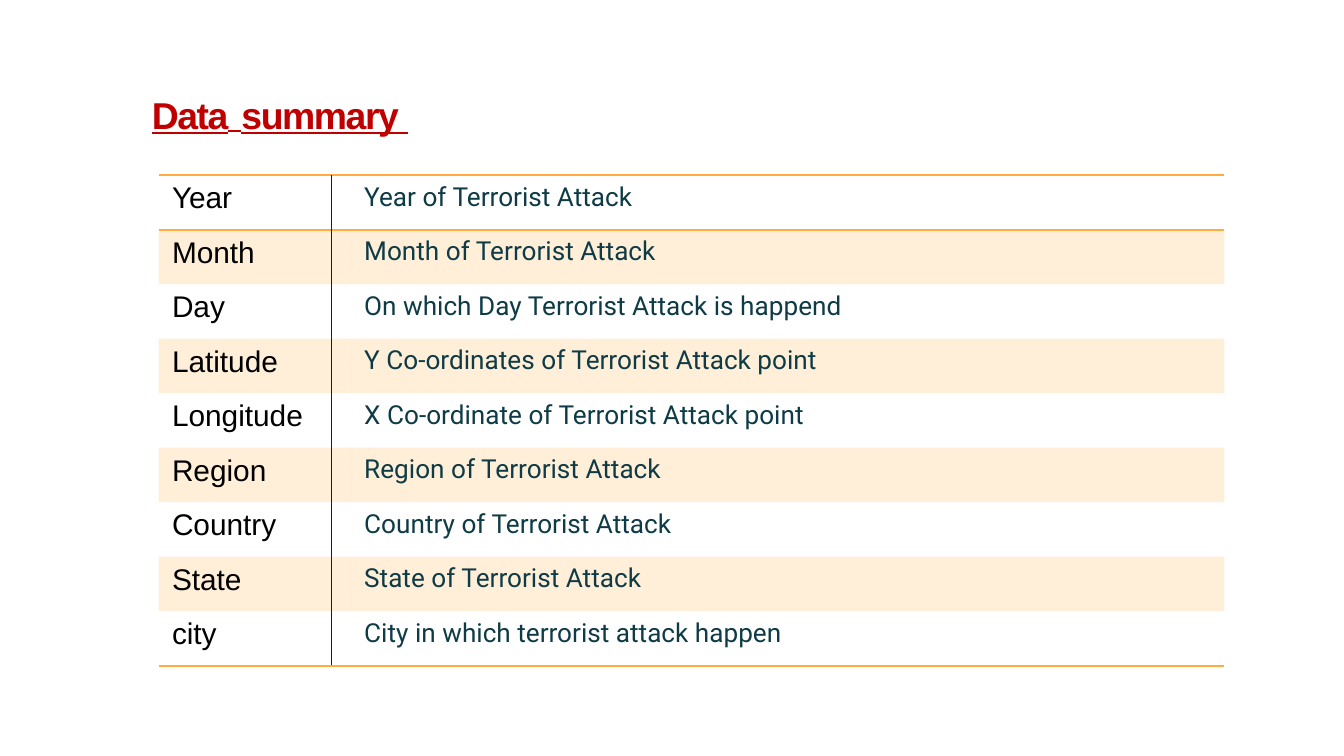
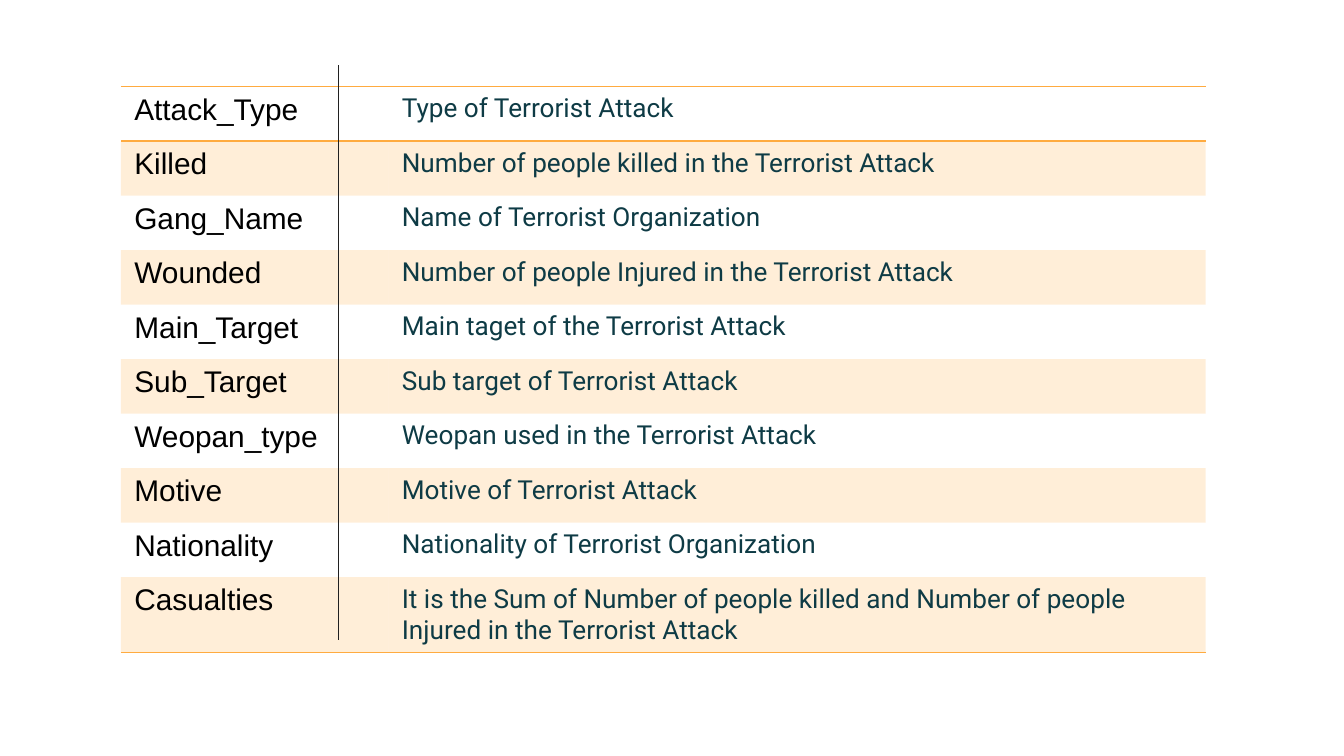
from dataclasses import dataclass
from typing import NamedTuple, Optional

from lxml.etree import SubElement
from pptx import Presentation
from pptx.dml.color import RGBColor as RGB
from pptx.enum.shapes import MSO_CONNECTOR as CONNECTOR
from pptx.enum.text import MSO_AUTO_SIZE as AUTO_SIZE
from pptx.oxml.ns import qn
from pptx.util import Inches, Pt

WIDTH = Inches(10)
HEIGHT = WIDTH * 9 // 16
GRID_COLUMNS = 100
MODULE = WIDTH / GRID_COLUMNS  # square grid, same step across and down
ROW_HEIGHT = 36.5 / 9
NO_STYLE = "{2D5ABB26-0587-4C30-8999-92F81FD0307C}"


@dataclass(frozen=True)
class Theme:
    title: str = "C00000"
    field: str = "000000"
    meaning: str = "0E3B45"
    accent: str = "FFAB40"
    band_opacity: int = 20
    title_size: float = 20
    field_size: float = 16
    meaning_size: float = 14
    rule: float = 1
    divider: float = 0.75
    sans: str = "Arial"
    body: str = "Roboto"
    gap: str = "DejaVu Sans"


THEME = Theme()


class Box(NamedTuple):
    left: float
    top: float
    width: float
    height: float


class Divider(NamedTuple):
    x: float
    top: float
    bottom: float
    color: str


class Summary(NamedTuple):
    left: float
    top: float
    columns: tuple[float, float]
    divider: Divider
    fields: dict[str, str]
    title: Optional[Box] = None


SUMMARIES = (
    Summary(
        11.8, 13.04, (14.3, 65), Divider(24.68, 13.04, 49.5, "002832"),
        {
            "Year": "Year of Terrorist Attack",
            "Month": "Month of Terrorist Attack",
            "Day": "On which Day Terrorist Attack is happend",
            "Latitude": "Y Co-ordinates of Terrorist Attack point",
            "Longitude": "X Co-ordinate of Terrorist Attack point",
            "Region": "Region of Terrorist Attack",
            "Country": "Country of Terrorist Attack",
            "State": "State of Terrorist Attack",
            "city": "City in which terrorist attack happen",
        },
        title=Box(11.2, 6.74, 19.3, 3.5),
    ),
    Summary(
        9, 6.44, (19.9, 60.8), Divider(25.2, 4.84, 47.6, "202020"),
        {
            "Attack_Type": "Type of Terrorist Attack",
            "Killed": "Number of people killed in the Terrorist Attack",
            "Gang_Name": "Name of Terrorist Organization",
            "Wounded": "Number of people Injured in the Terrorist Attack",
            "Main_Target": "Main taget of the Terrorist Attack",
            "Sub_Target": "Sub target of Terrorist Attack",
            "Weopan_type": "Weopan used in the Terrorist Attack",
            "Motive": "Motive of Terrorist Attack",
            "Nationality": "Nationality of Terrorist Organization",
            "Casualties": "It is the Sum of Number of people killed and "
                          "Number of people Injured in the Terrorist Attack",
        },
    ),
)


def grid(steps: float) -> int:
    return round(steps * MODULE)


def add_text(p, text: str, *, font: str, size: float, color: str,
             bold: bool = False, underline: bool = False,
             spacing: float = 0) -> None:
    """Append a run to p; spacing is the letter spacing in points."""
    r = p.add_run()
    r.text = text
    r.font.name, r.font.size = font, Pt(size)
    r.font.color.rgb = RGB.from_string(color)
    r.font.bold, r.font.underline = bold, underline
    if spacing:
        r.font._element.set("spc", str(round(spacing * 100)))


def draw_title(slide, box: Box) -> None:
    tf = slide.shapes.add_textbox(*map(grid, box)).text_frame
    tf.word_wrap, tf.auto_size = True, AUTO_SIZE.SHAPE_TO_FIT_TEXT
    tf.margin_left = tf.margin_right = tf.margin_bottom = 0
    tf.margin_top = Inches(0.01)
    p = tf.paragraphs[0]
    p.space_before = Pt(1)
    p._p.get_or_add_pPr().set("marL", str(Inches(0.01)))
    for text, font in (("Data", THEME.sans), (" ", THEME.gap),
                       ("summary ", THEME.sans)):
        add_text(p, text, font=font, size=THEME.title_size, color=THEME.title,
                 bold=True, underline=True, spacing=-0.8)


def rule_cell(cell, edge: str) -> None:
    """Draw an accent border on one edge, T or B; call before filling."""
    ln = SubElement(cell._tc.get_or_add_tcPr(), qn(f"a:ln{edge}"),
                    w=str(Pt(THEME.rule)))
    SubElement(SubElement(ln, qn("a:solidFill")), qn("a:srgbClr"),
               val=THEME.accent)


def fill_cell(cell, banded: bool) -> None:
    if not banded:
        cell.fill.background()
        return
    cell.fill.solid()
    cell.fill.fore_color.rgb = RGB.from_string(THEME.accent)
    color = cell._tc.tcPr.find(qn("a:solidFill")).find(qn("a:srgbClr"))
    SubElement(color, qn("a:alpha"), val=str(THEME.band_opacity * 1000))


def draw_table(slide, summary: Summary) -> None:
    count = len(summary.fields)
    frame = slide.shapes.add_table(
        count, 2, grid(summary.left), grid(summary.top),
        grid(sum(summary.columns)), grid(count * ROW_HEIGHT))
    table = frame.table
    table.first_row = table.horz_banding = False
    table._tbl.tblPr.find(qn("a:tableStyleId")).text = NO_STYLE
    for column, width in zip(table.columns, summary.columns):
        column.width = grid(width)
    formats = (
        dict(font=THEME.sans, size=THEME.field_size, color=THEME.field),
        dict(font=THEME.body, size=THEME.meaning_size, color=THEME.meaning),
    )
    for i, (row, texts) in enumerate(zip(table.rows, summary.fields.items())):
        row.height = grid(ROW_HEIGHT)
        edges = "TB" if i == 0 else "B" if i == count - 1 else ""
        for cell, text, style in zip(row.cells, texts, formats):
            add_text(cell.text_frame.paragraphs[0], text, **style)
            for edge in edges:
                rule_cell(cell, edge)
            fill_cell(cell, banded=i % 2 == 1)


def draw_divider(slide, divider: Divider) -> None:
    x = grid(divider.x)
    line = slide.shapes.add_connector(
        CONNECTOR.STRAIGHT, x, grid(divider.top), x, grid(divider.bottom))
    line.line.color.rgb = RGB.from_string(divider.color)
    line.line.width = Pt(THEME.divider)
    SubElement(line._element.spPr, qn("a:effectLst"))


def main() -> None:
    prs = Presentation()
    prs.slide_width, prs.slide_height = WIDTH, HEIGHT
    for summary in SUMMARIES:
        slide = prs.slides.add_slide(prs.slide_layouts[6])
        if summary.title:
            draw_title(slide, summary.title)
        draw_table(slide, summary)
        draw_divider(slide, summary.divider)
    prs.save("out.pptx")


if __name__ == "__main__":
    main()
